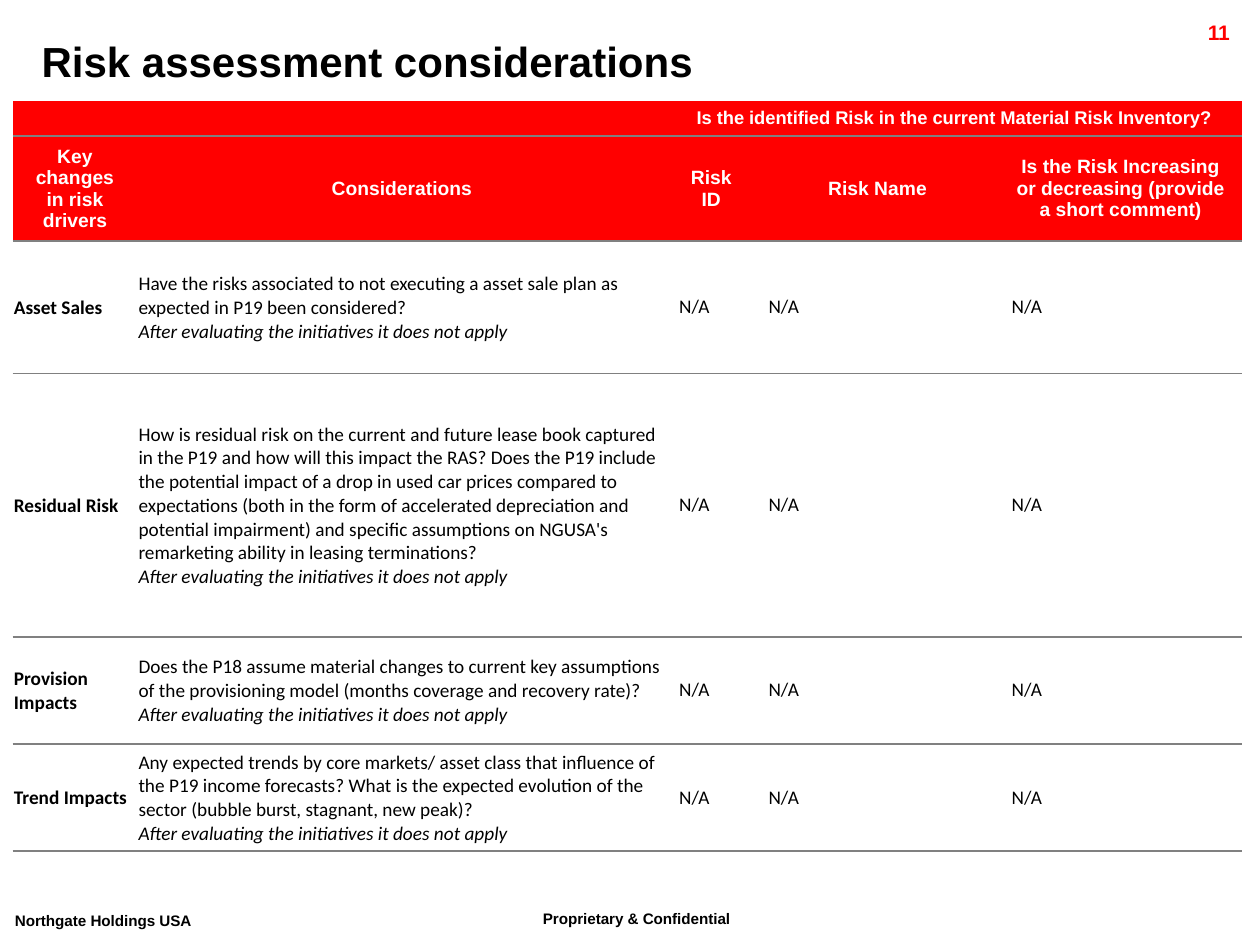
import pptx
import pptx.dml.color
import pptx.enum.text
import pptx.oxml
import pptx.oxml.ns
import pptx.util

RED = pptx.dml.color.RGBColor(0xFF, 0x00, 0x00)
WHITE = pptx.dml.color.RGBColor(0xFF, 0xFF, 0xFF)
BLACK = pptx.dml.color.RGBColor(0x00, 0x00, 0x00)
GREY = pptx.dml.color.RGBColor(0x80, 0x80, 0x80)
ALIGN = pptx.enum.text.PP_ALIGN
MIDDLE = pptx.enum.text.MSO_ANCHOR.MIDDLE
NO_GRID = "{2D5ABB26-0587-4C30-8999-92F81FD0307C}"

COLS = [0.99, 4.2, 0.71, 1.93, 1.93]
ROWS = [0.28, 0.83, 1.05, 2.09, 0.85, 0.85]
QUESTION = "Is the identified Risk in the current Material Risk Inventory?"
HEADERS = ["Key changes in risk drivers", "Considerations", "Risk ID", "Risk Name",
           "Is the Risk Increasing or decreasing (provide a short comment)"]
ANSWER = "After evaluating the initiatives it does not apply"
DRIVERS = [
    ("Asset Sales",
     "Have the risks associated to not executing a asset sale plan as expected in P19 "
     "been considered?"),
    ("Residual Risk",
     "How is residual risk on the current and future lease book captured in the P19 and "
     "how will this impact the RAS? Does the P19 include the potential impact of a drop in "
     "used car prices compared to expectations (both in the form of accelerated "
     "depreciation and potential impairment) and specific assumptions on NGUSA's "
     "remarketing ability in leasing terminations?"),
    ("Provision Impacts",
     "Does the P18 assume material changes to current key assumptions of the provisioning "
     "model (months coverage and recovery rate)?"),
    ("Trend Impacts",
     "Any expected trends by core markets/ asset class that influence of the P19 income "
     "forecasts? What is the expected evolution of the sector (bubble burst, stagnant, "
     "new peak)?"),
]


def inches(*values):
    return [pptx.util.Inches(v) for v in values]


def write(p, text, size=11, font="Arial", color=BLACK, bold=False, italic=False,
          align=ALIGN.LEFT, baseline=None):
    p.alignment = align
    r = p.add_run()
    r.text = text
    r.font.size = pptx.util.Pt(size)
    r.font.name = font
    r.font.color.rgb = color
    r.font.bold = bold
    r.font.italic = italic
    if baseline:
        r.font._element.set("baseline", str(baseline * 1000))


def add_title(slide, box, text):
    sp = slide.shapes.title
    sp.left, sp.top, sp.width, sp.height = inches(*box)
    tf = sp.text_frame
    tf.vertical_anchor = MIDDLE
    tf.auto_size = pptx.enum.text.MSO_AUTO_SIZE.NONE
    write(tf.paragraphs[0], text, size=24, bold=True)


def add_label(slide, box, text, wrap=True, **style):
    sp = slide.shapes.add_textbox(*inches(*box))
    sp.text_frame.word_wrap = wrap
    write(sp.text_frame.paragraphs[0], text, bold=True, **style)


def format_cell(cell, fill, margins=(0.1, 0.05, 0.1, 0.05), edges=("lnT", "lnB")):
    cell.fill.solid()
    cell.fill.fore_color.rgb = fill
    cell.vertical_anchor = MIDDLE
    (cell.margin_left, cell.margin_top,
     cell.margin_right, cell.margin_bottom) = inches(*margins)
    for i, edge in enumerate(edges):
        line = pptx.oxml.parse_xml(
            f'<a:{edge} {pptx.oxml.ns.nsdecls("a")} w="12700"><a:solidFill>'
            f'<a:srgbClr val="{GREY}"/></a:solidFill></a:{edge}>')
        cell._tc.get_or_add_tcPr().insert(i, line)


def fill_header(table):
    table.cell(0, 0).merge(table.cell(0, 1))
    table.cell(0, 2).merge(table.cell(0, 4))
    for c, text in enumerate(HEADERS):
        top = table.cell(0, c)
        format_cell(top, RED, edges=("lnB",))
        end = pptx.oxml.parse_xml(
            f'<a:endParaRPr {pptx.oxml.ns.nsdecls("a")} sz="1050"/>')
        top.text_frame.paragraphs[0]._p.append(end)
        cell = table.cell(1, c)
        format_cell(cell, RED)
        write(cell.text_frame.paragraphs[0], text, color=WHITE, bold=True,
              align=ALIGN.CENTER)
    write(table.cell(0, 2).text_frame.paragraphs[0], QUESTION, size=10.5,
          color=WHITE, bold=True, align=ALIGN.CENTER)


def fill_driver(table, row, driver, consideration):
    for c in range(len(COLS)):
        cell = table.cell(row, c)
        format_cell(cell, WHITE, (0.01, 0.01, 0.01, 0) if c < 2 else (0.1,) * 4)
        text = (driver, consideration)[c] if c < 2 else "N/A"
        write(cell.text_frame.paragraphs[0], text, font="Calibri", bold=c == 0)
    write(table.cell(row, 1).text_frame.add_paragraph(), ANSWER, font="Calibri",
          italic=True)


def add_risk_table(slide, left, top):
    frame = slide.shapes.add_table(len(ROWS), len(COLS),
                                   *inches(left, top, sum(COLS), sum(ROWS)))
    table = frame.table
    table._tbl.tblPr.find(pptx.oxml.ns.qn("a:tableStyleId")).text = NO_GRID
    for column, width in zip(table.columns, COLS):
        column.width = pptx.util.Inches(width)
    for row, height in zip(table.rows, ROWS):
        row.height = pptx.util.Inches(height)
    fill_header(table)
    for row, (driver, consideration) in enumerate(DRIVERS, start=2):
        fill_driver(table, row, driver, consideration)


def main():
    prs = pptx.Presentation()
    prs.slide_width, prs.slide_height = inches(10, 7.5)
    slide = prs.slides.add_slide(prs.slide_layouts[5])
    add_label(slide, (4.21, 7.14, 2.18, 0.35), "Proprietary & Confidential",
              size=15, baseline=30)
    add_label(slide, (0.02, 7.16, 1.91, 0.35), "Northgate Holdings USA",
              wrap=False, size=15, baseline=30)
    add_label(slide, (8.91, 0.11, 0.95, 0.24), "11", size=12, color=RED,
              align=ALIGN.RIGHT)
    add_title(slide, (0.23, 0.23, 9.82, 0.5), "Risk assessment considerations")
    add_risk_table(slide, 0.1, 0.8)
    prs.save("out.pptx")


if __name__ == "__main__":
    main()
